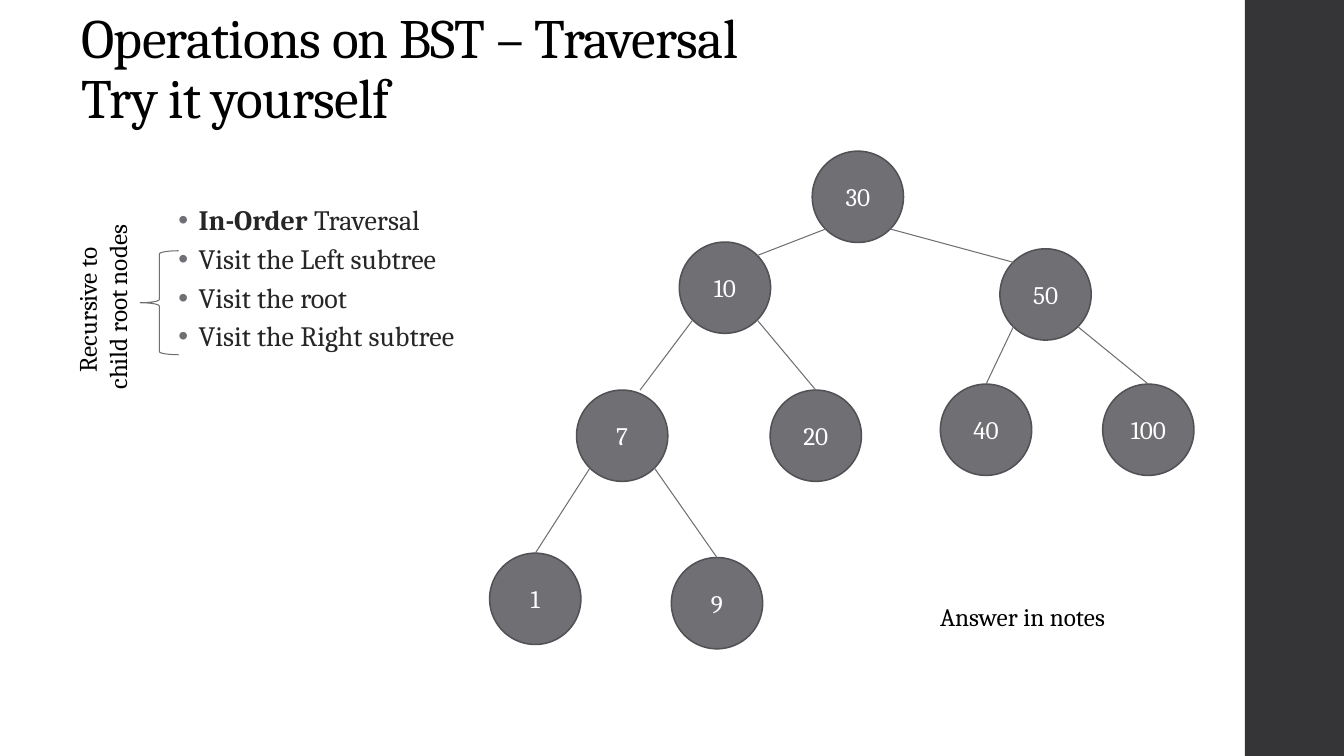
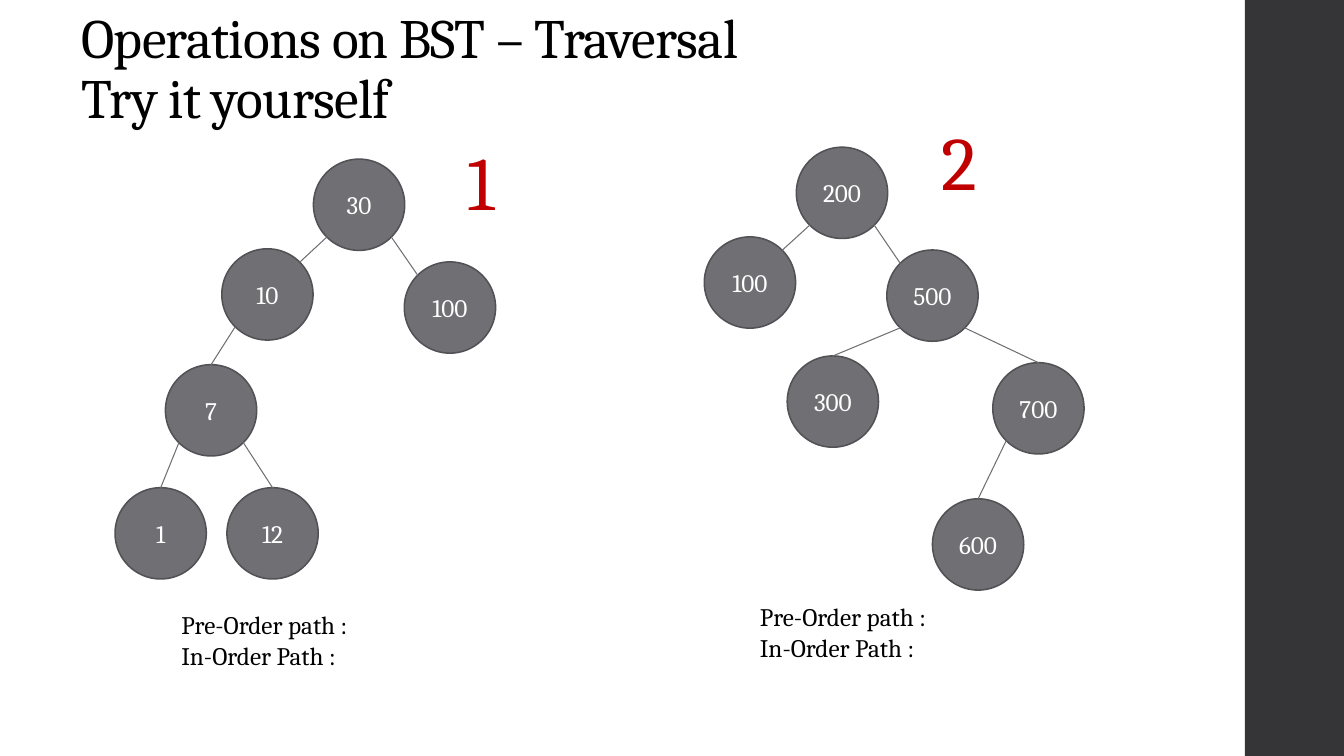
"""Build two slides of tree traversal exercises."""
from lxml.etree import SubElement
from pptx import Presentation
from pptx.dml.color import RGBColor as RGB
from pptx.enum.shapes import MSO_CONNECTOR as CXN, MSO_SHAPE as SHP
from pptx.enum.text import MSO_ANCHOR as ANC, MSO_AUTO_SIZE as FIT, PP_ALIGN as AL
from pptx.oxml.ns import qn
from pptx.util import Cm, Pt

COL = {"band": "353537", "node": "6F6F74", "edge": "525256", "white": "FFFFFF",
       "black": "000000", "body": "262626", "red": "C00000"}
FONT = "Cambria"
TITLE = "Operations on BST – Traversal\vTry it yourself"
NODE, SHOULDER = 2.3, 0.81


def rgb(name):
    return RGB.from_string(COL[name])


def write(tf, lines, size, color, align=AL.LEFT):
    tf.text = "\n".join(lines)
    for p in tf.paragraphs:
        p.alignment = align
        for r in p.runs:
            for key, value in {"name": FONT, "size": Pt(size)}.items():
                setattr(r.font, key, value)
            r.font.color.rgb = rgb(color)


prs = Presentation()
prs.slide_width, prs.slide_height = Cm(33.87), Cm(19.05)

master = prs.slide_master
title = master.placeholders[0]
frame = {"left": Cm(1.8), "top": Cm(1.24), "width": Cm(26.92), "height": Cm(2.18)}
for key, value in frame.items():
    setattr(title, key, value)
title.text_frame.vertical_anchor = ANC.BOTTOM
title.text_frame.auto_size = FIT.NONE
style = master.element.find(".//" + qn("p:titleStyle")).find(qn("a:lvl1pPr"))
style.set("algn", "l")
run_style = style.find(qn("a:defRPr"))
for key, value in {"sz": "3960", "spc": "-50"}.items():
    run_style.set(key, value)
run_style.find(qn("a:latin")).set("typeface", FONT)

slides = [prs.slides.add_slide(prs.slide_layouts[i]) for i in (1, 5)]
for s in slides:
    s.shapes.title.text = TITLE
    s.shapes.title.text_frame.paragraphs[0].line_spacing = 0.9

band = slides[0].shapes.add_shape(SHP.RECTANGLE, Cm(31.37), 0, Cm(2.5), prs.slide_height)
band.shadow.inherit = False
band.fill.solid()
band.fill.fore_color.rgb = rgb("band")
band.line.fill.background()
master.shapes._spTree.insert(2, band._element)

body = slides[0].placeholders[1]
frame = {"left": Cm(3.48), "top": Cm(5.08), "width": Cm(16.33), "height": Cm(4.78)}
for key, value in frame.items():
    setattr(body, key, value)
tf = body.text_frame
tf.auto_size = FIT.NONE
write(tf, ["In-Order", "Visit the Left subtree", "Visit the root",
           "Visit the Right subtree"], 20, "body")
first = tf.paragraphs[0].runs[0]
first.font.bold = True
r = tf.paragraphs[0].add_run()
r.text = " Traversal"
r.font.name, r.font.size = FONT, Pt(20)
r.font.color.rgb = rgb("body")
para = {"level": 1, "line_spacing": 0.9, "space_before": Pt(3), "space_after": Pt(3)}
for p in tf.paragraphs:
    for key, value in para.items():
        setattr(p, key, value)
    pPr = p._p.get_or_add_pPr()
    pPr.set("marL", str(Cm(1.27)))
    pPr.set("indent", str(-Cm(0.51)))
    SubElement(SubElement(pPr, qn("a:buClr")), qn("a:srgbClr")).set("val", COL["node"])
    SubElement(pPr, qn("a:buFont")).set("typeface", "Arial")
    SubElement(pPr, qn("a:buChar")).set("char", "•")

brace = slides[0].shapes.add_shape(SHP.LEFT_BRACE, Cm(3.53), Cm(6.32), Cm(0.97), Cm(2.62))
brace.shadow.inherit = False
brace.fill.background()
brace.line.color.rgb = rgb("node")
brace.line.width = Pt(0.75)

paths = ["Pre-Order path :", "In-Order Path :"]
recursive = ["Recursive to", " child root nodes"]
texts = [
    (0, (-0.1, 6.91, 5.36, 1.8), recursive, 18, "black", AL.CENTER, False, 270),
    (0, (23.44, 15.04, 10.16, 1.8), ["Answer in notes"], 18, "black", AL.LEFT, True, 0),
    (1, (4.32, 15.24, 7.04, 2.57), paths, 18, "black", AL.LEFT, True, 0),
    (1, (18.9, 15.04, 7.87, 2.57), paths, 18, "black", AL.LEFT, True, 0),
    (1, (11.35, 3.28, 1.57, 2.57), ["1"], 54, "red", AL.CENTER, False, 0),
    (1, (23.39, 2.77, 1.57, 2.57), ["2"], 54, "red", AL.CENTER, False, 0),
]
for page, box, lines, size, color, align, wrap, turn in texts:
    sp = slides[page].shapes.add_textbox(*map(Cm, box))
    sp.rotation = turn
    sp.text_frame.word_wrap = wrap
    sp.text_frame.auto_size = FIT.SHAPE_TO_FIT_TEXT
    write(sp.text_frame, lines, size, color, align)

trees = [
    (0, {30: (20.47, 3.81, None), 10: (17.12, 6.1, 30), 50: (25.2, 6.27, 30),
         7: (14.53, 9.83, 10), 20: (19.41, 9.83, 10), 1: (12.34, 13.94, 7),
         9: (16.92, 14.05, 7), 40: (23.7, 9.68, 50), 100: (27.79, 9.68, 50)}),
    (1, {30: (7.9, 4.01, None), 10: (5.59, 6.27, 30), 100: (10.19, 6.6, 30),
         7: (4.17, 9.19, 10), 1: (2.9, 12.29, 7), 12: (5.72, 12.29, 7)}),
    (1, {200: (20.07, 3.71, None), 100: (17.75, 5.97, 200), 500: (22.35, 6.3, 200),
         300: (19.84, 8.97, 500), 700: (25.02, 9.14, 500), 600: (23.5, 12.57, 700)}),
]
end_shift = {(0, 7): 0.45}
half = NODE / 2
for page, tree in trees:
    shapes = slides[page].shapes
    for value, (x, y, parent) in tree.items():
        node = shapes.add_shape(SHP.OVAL, Cm(x), Cm(y), Cm(NODE), Cm(NODE))
        node.shadow.inherit = False
        node.fill.solid()
        node.fill.fore_color.rgb = rgb("node")
        node.line.color.rgb = rgb("edge")
        node.line.width = Pt(1.1)
        node.text_frame.vertical_anchor = ANC.MIDDLE
        write(node.text_frame, [str(value)], 18, "white", AL.CENTER)
        if parent is None:
            continue
        px, py, grandparent = tree[parent]
        side = SHOULDER if x > px else -SHOULDER
        shift = end_shift.get((page, value), 0)
        end_x, end_y = x + half + shift, y
        if grandparent is None:
            end_x, end_y = x + half - side, y + half - SHOULDER
        branch = shapes.add_connector(CXN.STRAIGHT, Cm(px + half + side),
                                      Cm(py + half + SHOULDER), Cm(end_x), Cm(end_y))
        if grandparent is not None and not shift:
            branch.end_connect(node, 0)
        branch.line.color.rgb = rgb("node")
        branch.line.width = Pt(0.75)
        SubElement(branch._element.spPr, qn("a:effectLst"))

prs.save("out.pptx")
